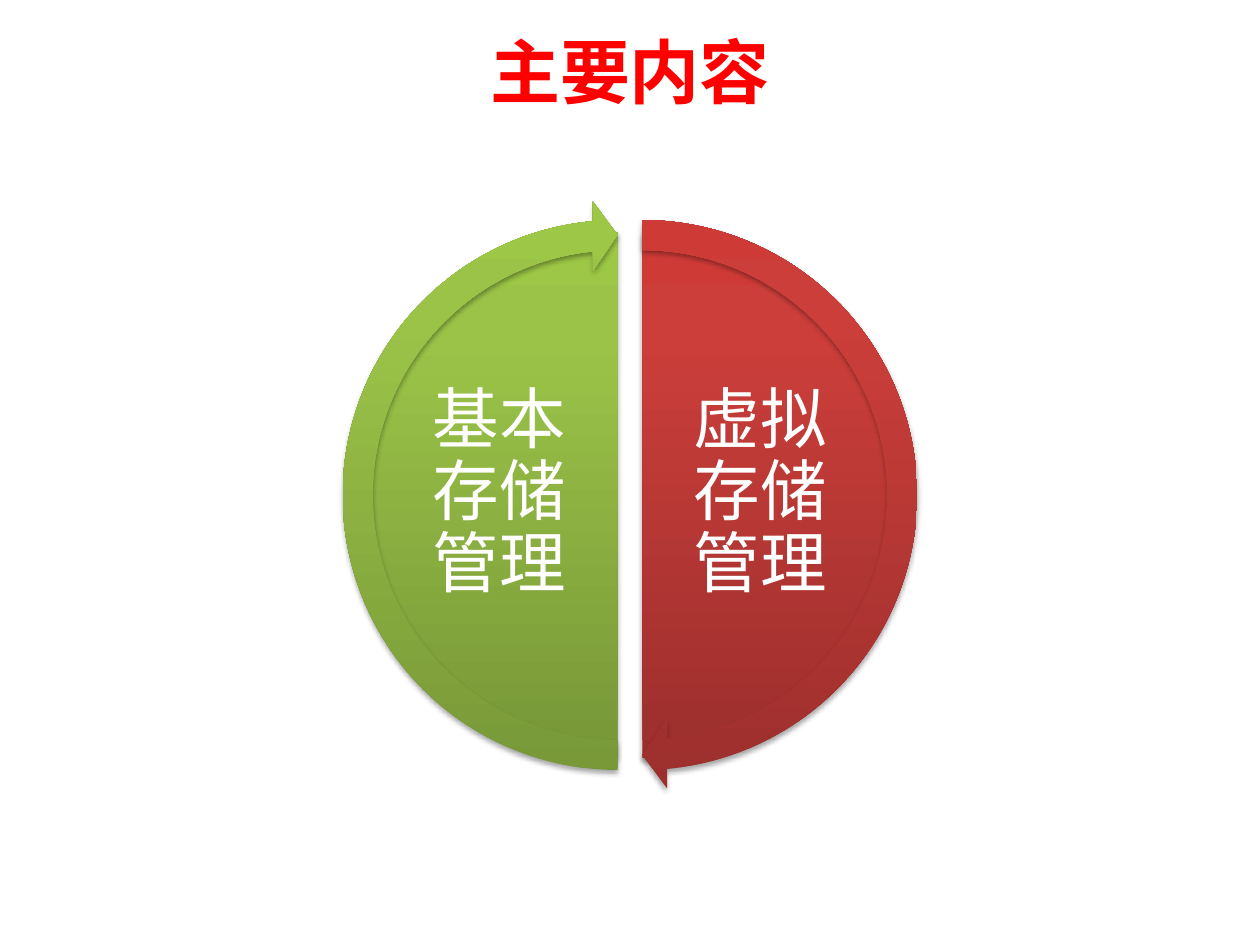
from copy import deepcopy
from dataclasses import dataclass

from lxml.etree import SubElement
from pptx import Presentation
from pptx.dml.color import RGBColor
from pptx.enum.shapes import MSO_SHAPE
from pptx.enum.text import MSO_ANCHOR, PP_ALIGN
from pptx.oxml.ns import qn
from pptx.util import Cm, Pt


@dataclass(frozen=True)
class Theme:
    title: str = "FF0000"
    label: str = "FFFFFF"
    shade: str = "000000"
    red: tuple = ("9C2F2D", "CB3E3A", "CE3B37")
    green: tuple = ("779737", "9BC348", "9DC746")
    stops: tuple = (0, 0.8, 1)
    head: int = 40
    body: int = 38


THEME = Theme()

# Common centre of the disc, in cm
MID_X, MID_Y = 12.7, 9.98
PIE, RING = 10.6, 11.88
SHIFT, REACH = 0.25, 2.63  # half offsets of the pies and of the labels
UP, DOWN = 162, 54  # top and bottom of the circle

# Side (1 right, -1 left), label, colours, pie angles, arrow head and tail
HALVES = (
    (1, "虚拟存储管理", THEME.red, (UP, DOWN), (50.725, UP)),
    (-1, "基本存储管理", THEME.green, (DOWN, UP), (158.725, DOWN)),
)


def box(x, y, w, h):
    """Turn a centre and a size into left, top, width and height."""
    return Cm(x - w / 2), Cm(y - h / 2), Cm(w), Cm(h)


def blend(fill, tones):
    """Fill with a three-stop gradient that runs upwards."""
    fill.gradient()
    fill.gradient_angle = 90
    first = fill.gradient_stops[0]._gs
    first.addnext(deepcopy(first))
    for stop, place, tone in zip(fill.gradient_stops, THEME.stops, tones):
        stop.position = place
        stop.color.rgb = RGBColor.from_string(tone)


def shade(shape):
    """Give the shape a soft shadow straight below."""
    shape.shadow.inherit = False
    effects = shape._element.spPr.find(qn("a:effectLst"))
    outer = SubElement(effects, qn("a:outerShdw"), blurRad=str(Pt(3.1)),
                       dist=str(Pt(1.8)), dir="5400000", rotWithShape="0")
    color = SubElement(outer, qn("a:srgbClr"), val=THEME.shade)
    SubElement(color, qn("a:alpha"), val="35000")


def add_form(slide, kind, side, size, angles, tones):
    place = box(MID_X + side * SHIFT, MID_Y, size, size)
    shape = slide.shapes.add_shape(kind, *place)
    for i, value in enumerate(angles):
        shape.adjustments[i] = value
    blend(shape.fill, tones)
    shape.line.fill.background()
    shade(shape)


def add_text(slide, text, place, size, color, font, bold=False, inset=0.13):
    frame = slide.shapes.add_textbox(*place).text_frame
    frame.word_wrap = True
    frame.vertical_anchor = MSO_ANCHOR.MIDDLE
    frame.margin_left = frame.margin_right = Cm(inset)
    frame.margin_top = frame.margin_bottom = Cm(0.13)
    para = frame.paragraphs[0]
    para.alignment = PP_ALIGN.CENTER
    run = para.add_run()
    run.text = text
    run.font.size = Pt(size)
    run.font.name = font
    run.font.bold = bold
    run.font.color.rgb = RGBColor.from_string(color)
    return para


def main():
    deck = Presentation()
    deck.slide_width, deck.slide_height = Cm(25.4), Cm(19.05)
    slide = deck.slides.add_slide(deck.slide_layouts[6])

    # Title
    add_text(slide, "主要内容", box(MID_X, 1.42, 22.86, 2.59), THEME.head,
             THEME.title, "Times New Roman", bold=True, inset=0.25)

    # Half discs with their labels
    for side, label, tones, angles, _ in HALVES:
        add_form(slide, MSO_SHAPE.PIE, side, PIE, angles, tones)
        place = box(MID_X + side * REACH, 9.96, 3.78, 5.03)
        para = add_text(slide, label, place, THEME.body, THEME.label, "Calibri")
        para.line_spacing = 0.9

    # Arrows around the rim
    for side, _, tones, _, ends in HALVES:
        angles = (0.051, 3.275, *ends, 0.059)
        add_form(slide, MSO_SHAPE.CIRCULAR_ARROW, side, RING, angles, tones)

    deck.save("out.pptx")


if __name__ == "__main__":
    main()
